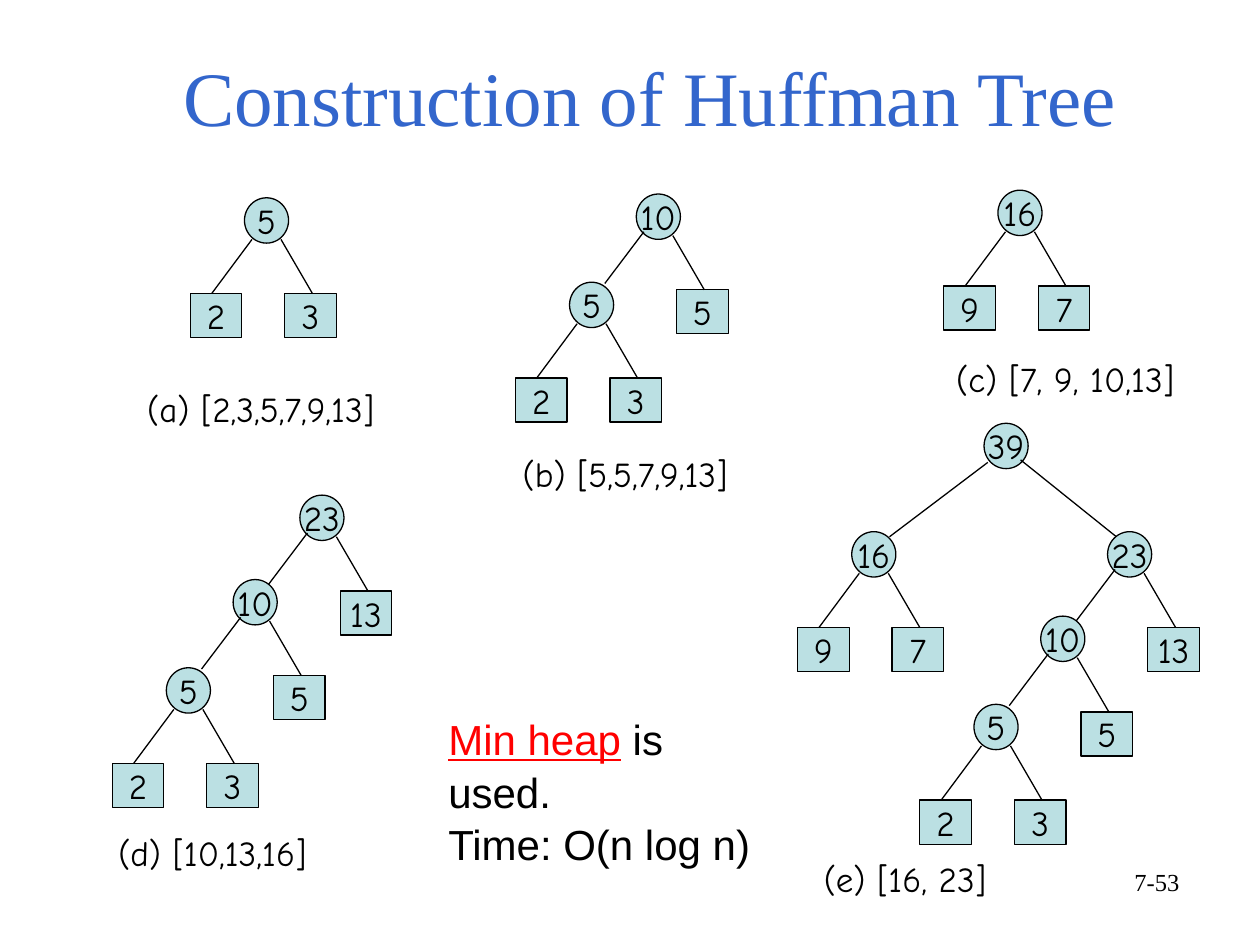
from dataclasses import dataclass
from typing import NamedTuple, Optional

from lxml.etree import SubElement
from pptx import Presentation
from pptx.dml.color import RGBColor
from pptx.enum.shapes import MSO_CONNECTOR, MSO_SHAPE
from pptx.enum.text import MSO_ANCHOR as ANCHOR, MSO_AUTO_SIZE as AUTO, PP_ALIGN as ALIGN
from pptx.oxml.ns import qn
from pptx.util import Inches, Pt

COLORS = {"title": "3366CC", "node": "BBE0E3", "ink": "000000", "accent": "FF0000"}
HAND, SERIF, SANS = "Comic Neue", "Times New Roman", "Arial"
CIRCLE, BOX = (0.35, 0.36), (0.41, 0.35)


@dataclass
class Node:
    """A tree node; without children it is a boxed leaf."""
    label: str
    left: Optional["Node"] = None
    right: Optional["Node"] = None
    drop: float = 0.7  # distance down to an inner left child


class Branch(NamedTuple):
    """Child offset and edge ends, relative to the parent's corner."""
    child: tuple[float, float]
    start: tuple[float, float]
    end: tuple[float, float]


class Caption(NamedTuple):
    text: str
    x: float
    y: float
    w: float


def color(name: str) -> RGBColor:
    return RGBColor.from_string(COLORS[name])


def add_run(p, text: str, font: str, size: float, ink: str = "ink", **extra) -> None:
    r = p.add_run()
    r.text = text
    r.font.color.rgb = color(ink)
    for key, value in {"name": font, "size": Pt(size), **extra}.items():
        setattr(r.font, key, value)


def add_text_box(x: float, y: float, w: float, h: float, auto=AUTO.SHAPE_TO_FIT_TEXT):
    tf = s.shapes.add_textbox(Inches(x), Inches(y), Inches(w), Inches(h)).text_frame
    tf.word_wrap, tf.auto_size = True, auto
    return tf


def add_edge(x: float, y: float, branch: Branch) -> None:
    ends = [Inches(o + d) for point in (branch.start, branch.end)
            for o, d in zip((x, y), point)]
    line = s.shapes.add_connector(MSO_CONNECTOR.STRAIGHT, *ends)
    line.line.color.rgb = color("ink")
    line.line.width = Pt(0.75)
    SubElement(line._element.spPr, qn("a:effectLst"))


def add_node(node: Node, x: float, y: float) -> None:
    kind, size = (MSO_SHAPE.OVAL, CIRCLE) if node.left else (MSO_SHAPE.RECTANGLE, BOX)
    sp = s.shapes.add_shape(kind, *map(Inches, (x, y, *size)))
    sp.shadow.inherit = False
    sp.fill.solid()
    sp.fill.fore_color.rgb = color("node")
    sp.line.color.rgb = color("ink")
    sp.line.width = Pt(0.75)
    tf = sp.text_frame
    tf.word_wrap, tf.vertical_anchor = False, ANCHOR.MIDDLE
    p = tf.paragraphs[0]
    p.alignment = ALIGN.CENTER
    add_run(p, node.label, HAND, 20)


def branches(node: Node) -> tuple[Branch, Branch]:
    if node.right.left:  # two inner children: wide fork
        return (Branch((-1.05, 0.86), (0.03, 0.31), (-0.75, 0.9)),
                Branch((0.98, 0.86), (0.29, 0.29), (1.05, 0.9)))
    right = Branch((0.32, 0.76), (0.29, 0.33), (0.54, 0.76))
    if node.left.left:
        return Branch((-0.53, node.drop), (0.06, 0.3), (-0.25, 0.71)), right
    return Branch((-0.43, 0.76), (0.06, 0.33), (-0.26, 0.76)), right


def add_tree(node: Node, x: float, y: float) -> None:
    add_node(node, x, y)
    if not node.left:
        return
    for child, branch in zip((node.left, node.right), branches(node)):
        add_tree(child, x + branch.child[0], y + branch.child[1])
        add_edge(x, y, branch)


prs = Presentation()
prs.slide_width, prs.slide_height = Inches(10), Inches(7.5)
s = prs.slides.add_slide(prs.slide_layouts[5])

# Title
title = s.shapes.title
for key, value in {"left": 0.75, "top": 0.27, "width": 8.82, "height": 0.86}.items():
    setattr(title, key, Inches(value))
tf = title.text_frame
for key, value in {"margin_left": 0, "margin_right": 0, "margin_top": 0, "margin_bottom": 0,
                   "vertical_anchor": ANCHOR.BOTTOM, "auto_size": AUTO.NONE}.items():
    setattr(tf, key, value)
tf.paragraphs[0].alignment = ALIGN.CENTER
add_run(tf.paragraphs[0], "Construction of Huffman Tree", SERIF, 44, "title")

# Trees, each step built from the earlier ones
five = Node("5", Node("2"), Node("3"))
ten = Node("10", five, Node("5"))
sixteen = Node("16", Node("9"), Node("7"))
twenty_three = Node("23", ten, Node("13"), drop=0.67)
root = Node("39", sixteen, twenty_three)
for tree, x, y in [(five, 1.94, 1.57), (ten, 5.05, 1.54), (sixteen, 7.92, 1.51),
                   (twenty_three, 2.38, 3.93), (root, 7.81, 3.36)]:
    add_tree(tree, x, y)

# Captions
for c in [Caption("(a) [2,3,5,7,9,13]", 1.07, 3.03, 2.63),
          Caption("(b) [5,5,7,9,13]", 4.05, 3.54, 2.13),
          Caption("(c) [7, 9, 10,13]", 7.49, 2.79, 2.22),
          Caption("(d) [10,13,16]", 0.84, 6.55, 2.68),
          Caption("(e) [16, 23]", 6.44, 6.76, 1.76)]:
    add_run(add_text_box(c.x, c.y, c.w, 0.44).paragraphs[0], c.text, HAND, 20)

# Page number
p = add_text_box(7.13, 6.83, 2.33, 0.52, AUTO.NONE).paragraphs[0]
p.alignment = ALIGN.RIGHT
add_run(p, "7-53", SERIF, 14)

# Complexity note
tf = add_text_box(3.46, 5.6, 2.76, 1.3)
heap, time = tf.paragraphs[0], tf.add_paragraph()
heap.line_spacing = time.line_spacing = 1.04
add_run(heap, "Min heap", SANS, 24, "accent", underline=True)
add_run(heap, " is used.", SANS, 24)
add_run(time, "Time: O(n log n)", SANS, 24)

prs.save("out.pptx")
